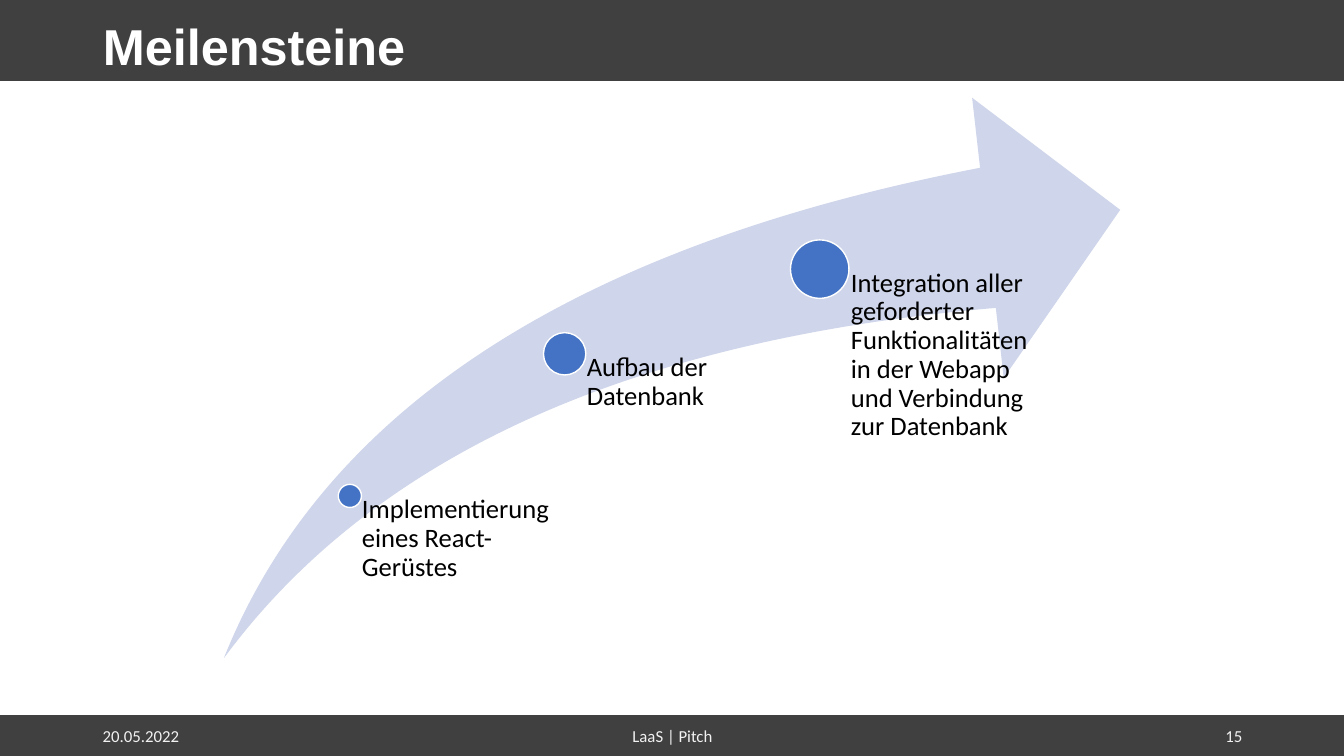
import pptx
import pptx.util
import pptx.dml.color
import pptx.enum.shapes
import pptx.enum.text

Inches = pptx.util.Inches
Align = pptx.enum.text.PP_ALIGN
Anchor = pptx.enum.text.MSO_ANCHOR
Shape = pptx.enum.shapes.MSO_SHAPE

# Content
TITLE = "Meilensteine"
FOOTERS = [  # text, left, width, alignment
    ("20.05.2022", 0.92, 3, Align.LEFT),
    ("LaaS | Pitch", 4.42, 4.5, Align.CENTER),
    ("15", 9.42, 3, Align.RIGHT),
]
MILESTONES = [  # text, dot centre x, centre y, dot diameter, label width, label inset
    ("Implementierung eines React-Gerüstes", 3.47, 4.92, 0.23, 2.07, 0.12),
    ("Aufbau der Datenbank", 5.6, 3.51, 0.42, 2.13, 0.22),
    ("Integration aller geforderter Funktionalitäten in der Webapp "
     "und Verbindung zur Datenbank", 8.13, 2.67, 0.58, 2.13, 0.31),
]

THEME = {
    "bar": "404040", "title": "FFFFFF", "footer": "F2F2F2",
    "arrow": "CFD5EA", "dot": "4472C4", "dot_line": "FFFFFF", "label": "000000",
    "title_size": 36, "footer_size": 12, "label_size": 19,
    "title_font": "Arial", "body_font": "Calibri",
}

# Layout
SLIDE_WIDTH, SLIDE_HEIGHT = 13.33, 7.5
FOOTER_TOP, FOOTER_HEIGHT = 7.1, 0.4
BARS = [(-0.03, 0.83), (FOOTER_TOP, FOOTER_HEIGHT)]  # top, height
ARROW = (2.22, 0.97, 8.89, 5.56)
ARROW_BOTTOM = ARROW[1] + ARROW[3]


def color(name):
    return pptx.dml.color.RGBColor.from_string(THEME[name])


def add_filled(shapes, kind, bounds, fill, line=None):
    shape = shapes.add_shape(kind, *map(Inches, bounds))
    shape.shadow.inherit = False
    shape.fill.solid()
    shape.fill.fore_color.rgb = color(fill)
    if line:
        shape.line.color.rgb = color(line)
        shape.line.width = pptx.util.Pt(1)
    else:
        shape.line.fill.background()
    return shape


def write(box, text, role, font, anchor, align=Align.LEFT, spacing=1.0, bold=False):
    frame = box.text_frame
    frame.text = text
    frame.word_wrap = True
    frame.auto_size = pptx.enum.text.MSO_AUTO_SIZE.NONE
    frame.vertical_anchor = anchor
    para = frame.paragraphs[0]
    para.alignment = align
    para.line_spacing = spacing
    span = para.runs[0]
    span.font.name = THEME[font]
    span.font.size = pptx.util.Pt(THEME[role + "_size"])
    span.font.bold = bold
    span.font.color.rgb = color(role)


def main():
    deck = pptx.Presentation()
    deck.slide_width = Inches(SLIDE_WIDTH)
    deck.slide_height = Inches(SLIDE_HEIGHT)
    page = deck.slides.add_slide(deck.slide_layouts[5])

    # Header and footer bars
    for top, height in BARS:
        add_filled(page.shapes, Shape.RECTANGLE, (0, top, SLIDE_WIDTH, height), "bar", "bar")

    # Title, brought in front of the header bar
    title = page.shapes.title
    title.left, title.top, title.width, title.height = map(Inches, (0.92, 0.15, 11.5, 0.68))
    write(title, TITLE, "title", "title_font", Anchor.MIDDLE, spacing=0.9, bold=True)
    title.element.getparent().append(title.element)

    # Footer texts
    for text, left, width, align in FOOTERS:
        box = page.shapes.add_textbox(*map(Inches, (left, FOOTER_TOP, width, FOOTER_HEIGHT)))
        write(box, text, "footer", "body_font", Anchor.MIDDLE, align)

    # Rising arrow
    diagram = page.shapes.add_group_shape().shapes
    arrow = add_filled(diagram, Shape.SWOOSH_ARROW, ARROW, "arrow")
    arrow.adjustments[0] = 0.25
    arrow.adjustments[1] = 0.25

    # Milestones: each label starts at its dot's centre and ends with the arrow
    for text, x, y, size, width, inset in MILESTONES:
        add_filled(diagram, Shape.OVAL, (x - size / 2, y - size / 2, size, size),
                   "dot", "dot_line")
        label = diagram.add_textbox(*map(Inches, (x, y, width, ARROW_BOTTOM - y)))
        write(label, text, "label", "body_font", Anchor.TOP, spacing=0.9)
        frame = label.text_frame
        frame.margin_left = Inches(inset)
        frame.margin_top = frame.margin_right = frame.margin_bottom = 0

    deck.save("out.pptx")


if __name__ == "__main__":
    main()
